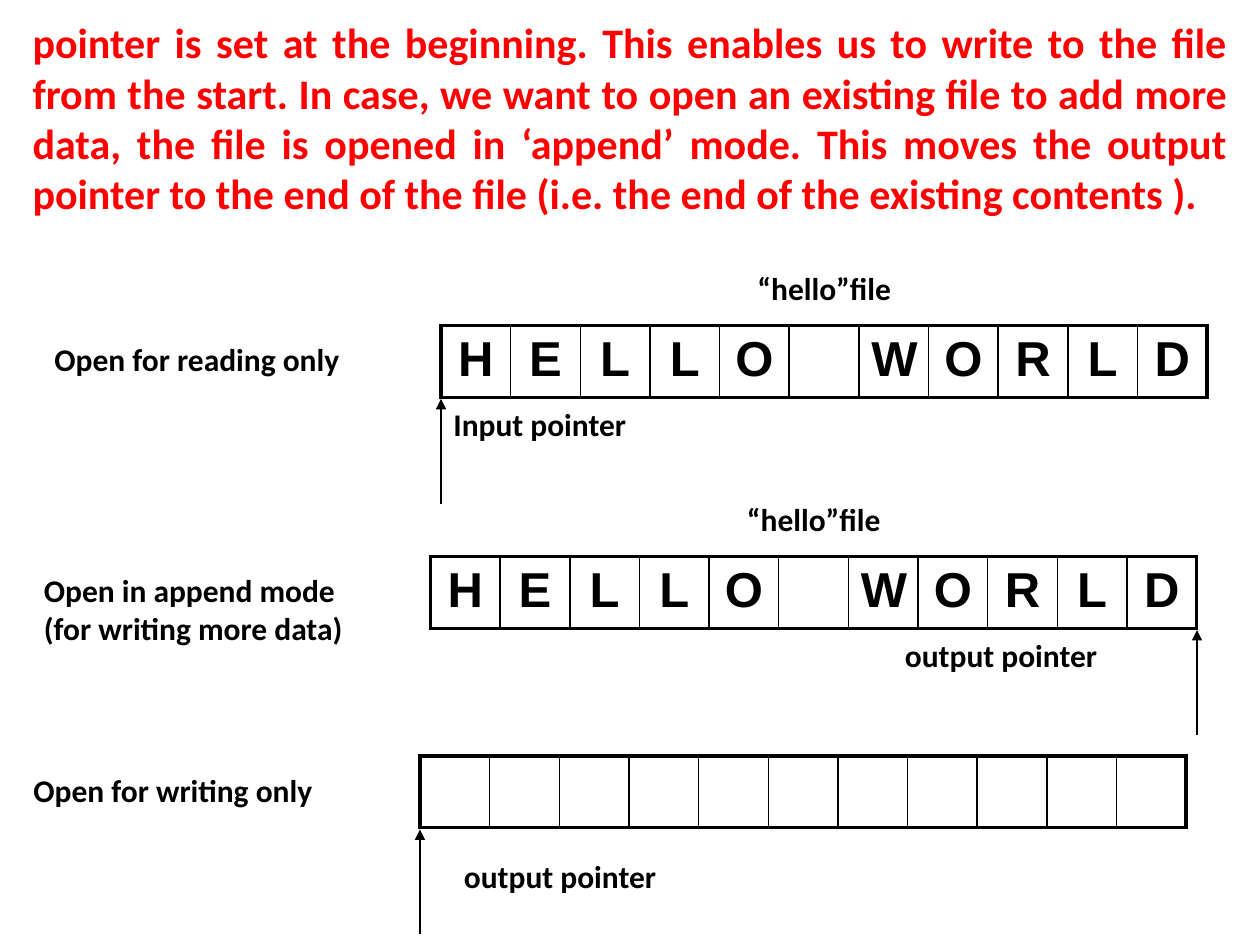
from lxml.etree import SubElement
from pptx import Presentation
from pptx.dml.color import RGBColor
from pptx.enum.shapes import MSO_CONNECTOR as Connector
from pptx.enum.text import PP_ALIGN as Align
from pptx.oxml.ns import qn
from pptx.util import Pt

BLACK = RGBColor(0, 0, 0)
RED = RGBColor(0xFF, 0, 0)

# Content
INTRO = (
    "pointer is set at the beginning. This enables us to write to the file "
    "from the start. In case, we want to open an existing file to add more "
    "data, the file is opened in ‘append’ mode. This moves the output "
    "pointer to the end of the file (i.e. the end of the existing contents )."
)
CELL_COUNT = 11
MODES = [
    dict(label=["Open for reading only"], caption="“hello”file",
         cells="HELLO WORLD", left=252, top=186,
         pointer="Input pointer", pointer_at=(0, 42), arrow_cell=0),
    dict(label=["Open in append mode", "(for writing more data)"],
         caption="“hello”file", cells="HELLO WORLD", left=246, top=318,
         pointer="output pointer", pointer_at=(264, 42),
         arrow_cell=CELL_COUNT),
    dict(label=["Open for writing only"], caption=None,
         cells=" " * CELL_COUNT, left=240, top=432,
         pointer="output pointer", pointer_at=(18, 54), arrow_cell=0),
]

# Layout, in points
STRIP_WIDTH, STRIP_HEIGHT = 438, 41
CELL_WIDTH = STRIP_WIDTH / CELL_COUNT
LABEL_SHIFT, CAPTION_SHIFT = (-228, 5), (138, -36)
ARROW_TOP, ARROW_BOTTOM = 42, 102
THICK, THIN = 2.25, 1


def format_text(frame, lines, size=18, font="Calibri", color=BLACK,
                align=Align.LEFT):
    for index, line in enumerate(lines):
        para = frame.paragraphs[0] if index == 0 else frame.add_paragraph()
        para.alignment = align
        span = para.add_run()
        span.text = line
        span.font.size = Pt(size)
        span.font.name = font
        span.font.bold = True
        span.font.color.rgb = color


def add_text(page, lines, left, top, width, height, **style):
    box = page.shapes.add_textbox(Pt(left), Pt(top), Pt(width), Pt(height))
    box.text_frame.word_wrap = True
    format_text(box.text_frame, lines, **style)


def set_borders(cell, **widths):
    properties = cell._tc.get_or_add_tcPr()
    for side, width in widths.items():
        line = SubElement(properties, qn(f"a:ln{side}"), w=str(Pt(width)))
        fill = SubElement(line, qn("a:solidFill"))
        SubElement(fill, qn("a:srgbClr"), val=str(BLACK))


def add_strip(page, letters, left, top):
    table = page.shapes.add_table(
        1, CELL_COUNT, Pt(left), Pt(top), Pt(STRIP_WIDTH), Pt(STRIP_HEIGHT)
    ).table
    table.first_row = table.horz_banding = False
    last = CELL_COUNT - 1
    for index, letter in enumerate(letters):
        table.columns[index].width = Pt(CELL_WIDTH)
        cell = table.cell(0, index)
        set_borders(cell, L=THICK if index == 0 else THIN,
                    R=THICK if index == last else THIN, T=THICK, B=THICK)
        cell.fill.background()
        if letter.strip():
            format_text(cell.text_frame, [letter], size=28, font="Arial",
                        align=Align.CENTER)


def add_arrow(page, x, start, end):
    arrow = page.shapes.add_connector(
        Connector.STRAIGHT, Pt(x), Pt(start), Pt(x), Pt(end))
    arrow.line.color.rgb = BLACK
    arrow.line.width = Pt(1.5)
    SubElement(arrow.line._get_or_add_ln(), qn("a:tailEnd"), type="triangle")
    SubElement(arrow._element.spPr, qn("a:effectLst"))


def add_mode(page, mode):
    left, top = mode["left"], mode["top"]
    add_strip(page, mode["cells"], left, top)

    # Mode name, file name and pointer name
    lines = mode["label"]
    add_text(page, lines, left + LABEL_SHIFT[0], top + LABEL_SHIFT[1],
             228, 9 + 22 * len(lines))
    if mode["caption"]:
        add_text(page, [mode["caption"]], left + CAPTION_SHIFT[0],
                 top + CAPTION_SHIFT[1], 162, 31, align=Align.CENTER)
    shift_x, shift_y = mode["pointer_at"]
    add_text(page, [mode["pointer"]], left + shift_x, top + shift_y, 168, 31)

    # Arrow up to the pointer position
    add_arrow(page, left + mode["arrow_cell"] * CELL_WIDTH,
              top + ARROW_BOTTOM, top + ARROW_TOP)


def main():
    deck = Presentation()
    deck.slide_width, deck.slide_height = Pt(720), Pt(540)
    page = deck.slides.add_slide(deck.slide_layouts[6])
    add_text(page, [INTRO], 11.5, 6, 697, 151, size=24, color=RED,
             align=Align.JUSTIFY)
    for mode in MODES:
        add_mode(page, mode)
    deck.save("out.pptx")


if __name__ == "__main__":
    main()
